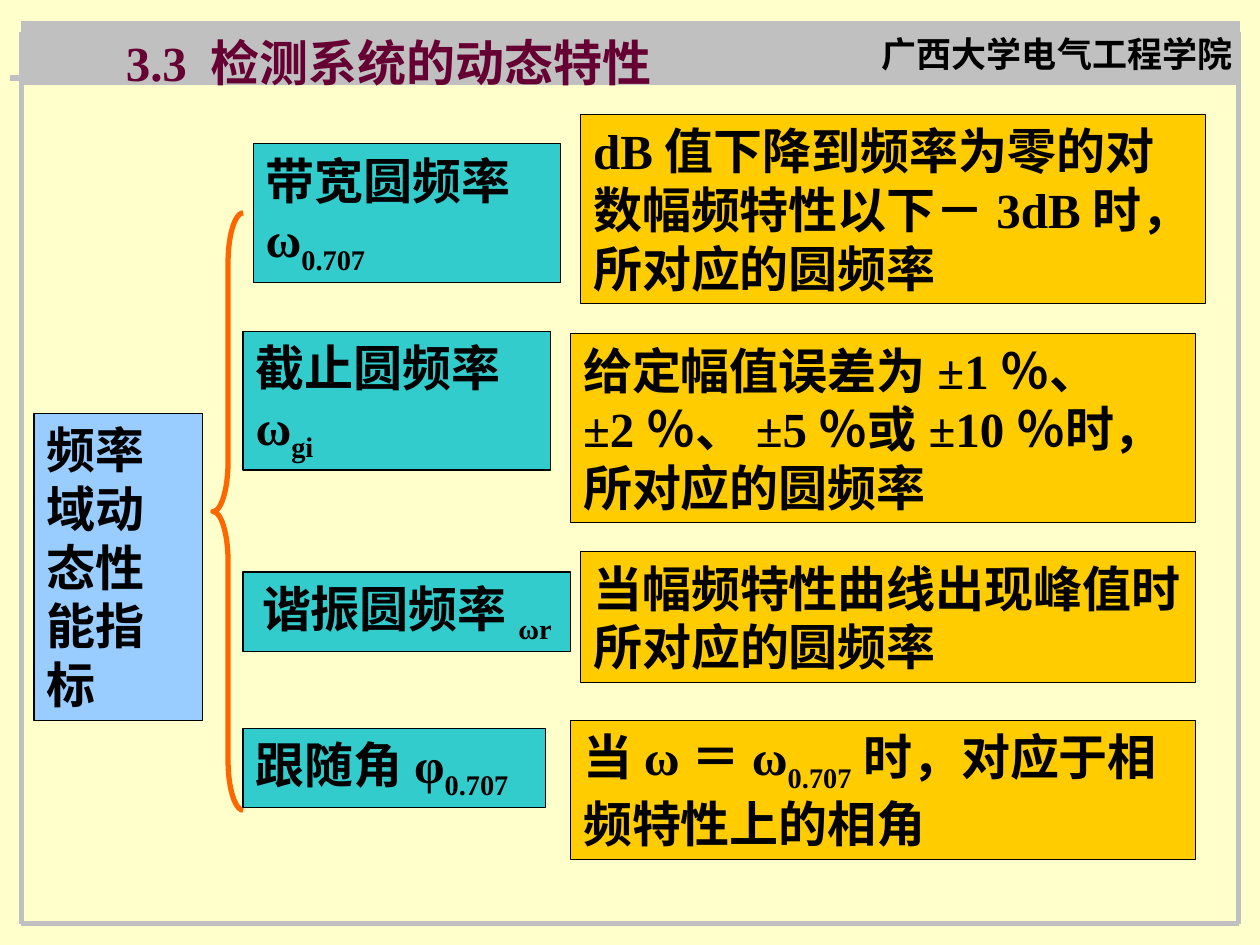
from dataclasses import dataclass

from lxml.etree import SubElement
from pptx import Presentation
from pptx.dml.color import RGBColor
from pptx.enum.shapes import MSO_CONNECTOR as Connector, MSO_SHAPE as Shape
from pptx.enum.text import MSO_ANCHOR as Anchor, MSO_AUTO_SIZE as AutoSize, PP_ALIGN as Align
from pptx.oxml.ns import qn
from pptx.util import Inches, Pt


@dataclass(frozen=True)
class Theme:
    font: str = "Times New Roman"
    body: float = 28
    header: float = 20
    thin: float = 0.75
    thick: float = 3
    background: str = "FFFFCC"
    frame: str = "C0C0C0"
    title: str = "660033"
    ink: str = "000000"
    root: str = "99CCFF"
    term: str = "33CCCC"
    meaning: str = "FFCC00"
    brace: str = "FF6600"


THEME = Theme()


def rgb(value):
    return RGBColor.from_string(value)


def write(sp, text, size=THEME.body, color=THEME.ink, align=Align.LEFT, anchor=Anchor.TOP):
    tf = sp.text_frame
    tf.word_wrap = True
    tf.auto_size = AutoSize.SHAPE_TO_FIT_TEXT
    tf.vertical_anchor = anchor
    p = tf.paragraphs[0]
    p.alignment = align
    for i, part in enumerate(text.split("|")):
        r = p.add_run()
        r.text = part
        r.font.name = THEME.font
        r.font.size = Pt(size)
        r.font.bold = True
        r.font.color.rgb = rgb(color)
        if i % 2:
            r.font._element.set("baseline", "-25000")


def add_label(s, box, text, **style):
    sp = s.shapes.add_textbox(*map(Inches, box))
    write(sp, text, **style)


def add_box(s, box, fill, line=THEME.ink):
    sp = s.shapes.add_shape(Shape.RECTANGLE, *map(Inches, box))
    sp.shadow.inherit = False
    sp.fill.solid()
    sp.fill.fore_color.rgb = rgb(fill)
    sp.line.color.rgb = rgb(line)
    sp.line.width = Pt(THEME.thin)
    return sp


def add_rule(s, *ends):
    line = s.shapes.add_connector(Connector.STRAIGHT, *map(Inches, ends))
    line.line.color.rgb = rgb(THEME.frame)
    line.line.width = Pt(THEME.thick)
    SubElement(line._element.spPr, qn("a:effectLst"))


def add_brace(s, box):
    sp = s.shapes.add_shape(Shape.LEFT_BRACE, *map(Inches, box))
    sp.shadow.inherit = False
    sp.adjustments[0] = 1.65
    sp.adjustments[1] = 0.5
    sp.fill.background()
    sp.line.color.rgb = rgb(THEME.brace)
    sp.line.width = Pt(THEME.thick)


def add_frame(s):
    left, right, top, bottom = 0.17, 9.83, 0.25, 7.33
    add_rule(s, 0.08, 0.62, 9.75, 0.62)
    add_box(s, (left, 0.17, 9.67, 0.5), THEME.frame, THEME.frame)
    for x in (left, right):
        add_rule(s, x, top, x, bottom)
    add_rule(s, left, bottom, right, bottom)


def main():
    prs = Presentation()
    prs.slide_width, prs.slide_height = Inches(10), Inches(7.5)
    s = prs.slides.add_slide(prs.slide_layouts[6])
    s.background.fill.solid()
    s.background.fill.fore_color.rgb = rgb(THEME.background)

    add_frame(s)
    add_label(s, (6.78, 0.21, 3.22, 0.44), "广西大学电气工程学院",
              size=THEME.header, align=Align.CENTER)
    add_label(s, (0.9, 0.21, 8.19, 0.57), "3.3 检测系统的动态特性", color=THEME.title)
    write(add_box(s, (0.27, 3.28, 1.34, 2.44), THEME.root), "频率域动态性能指标")
    add_brace(s, (1.69, 1.69, 0.24, 4.74))

    rows = [
        ((2.01, 1.14, 2.44, 1.1), "带宽圆频率ω|0.707", Align.LEFT,
         (4.61, 0.91, 4.96, 1.5), "dB值下降到频率为零的对数幅频特性以下－3dB时，所对应的圆频率"),
        ((1.93, 2.63, 2.44, 1.1), "截止圆频率ω|gi", Align.LEFT,
         (4.53, 2.65, 4.96, 1.5), "给定幅值误差为±1％、±2％、±5％或±10％时，所对应的圆频率"),
        ((1.93, 4.54, 2.6, 0.63), "谐振圆频率|ωr", Align.CENTER,
         (4.61, 4.38, 4.88, 1.04), "当幅频特性曲线出现峰值时所对应的圆频率"),
        ((1.93, 5.78, 2.4, 0.63), "跟随角φ|0.707", Align.LEFT,
         (4.53, 5.72, 4.96, 1.1), "当ω＝ω|0.707|时，对应于相频特性上的相角"),
    ]
    for term_box, term, align, meaning_box, meaning in rows:
        write(add_box(s, term_box, THEME.term), term, align=align, anchor=Anchor.MIDDLE)
        write(add_box(s, meaning_box, THEME.meaning), meaning)

    prs.save("out.pptx")


if __name__ == "__main__":
    main()
